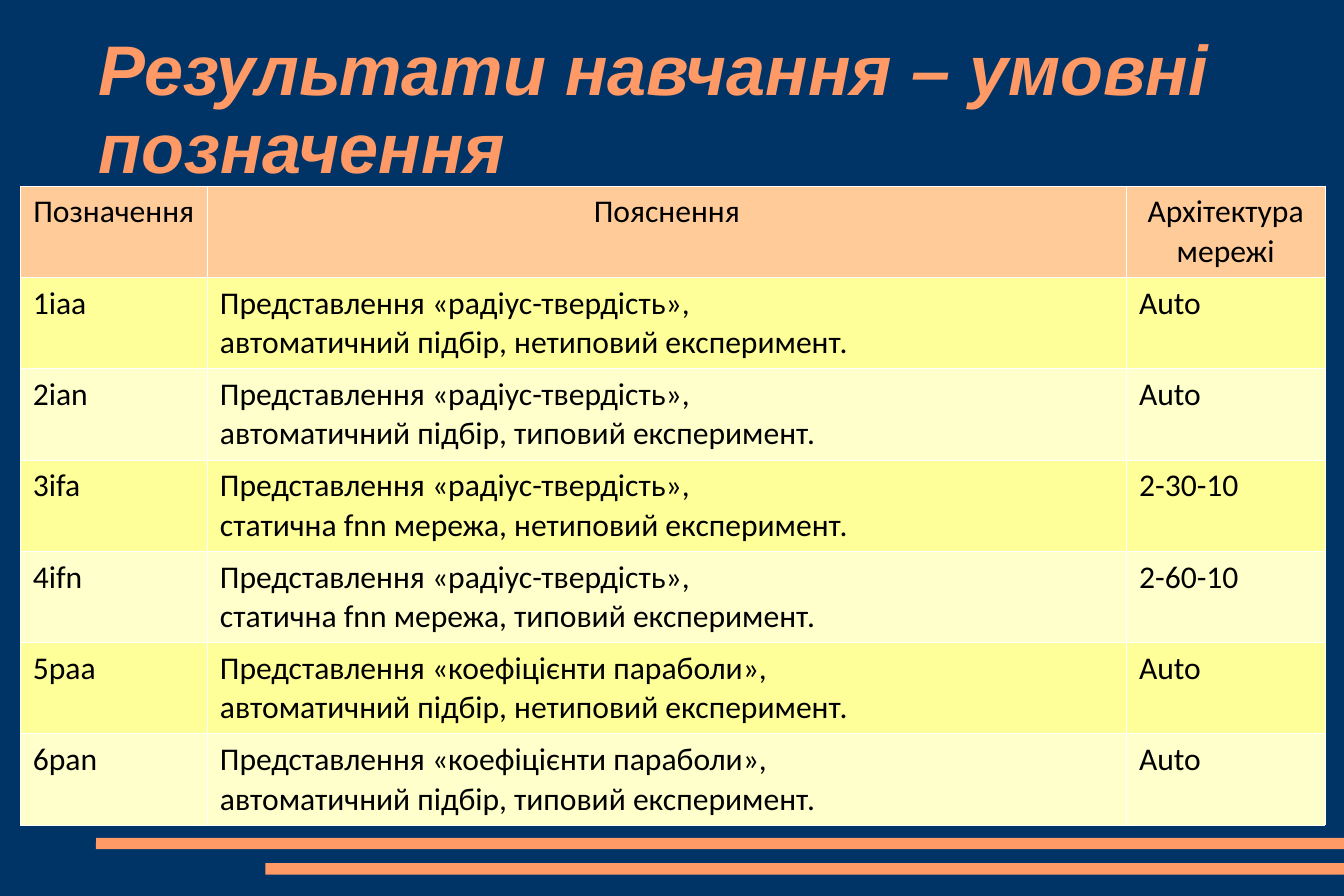
from dataclasses import dataclass

from lxml.etree import SubElement
from pptx import Presentation
from pptx.dml.color import RGBColor
from pptx.enum.shapes import MSO_SHAPE
from pptx.enum.text import MSO_ANCHOR, MSO_AUTO_SIZE, PP_ALIGN
from pptx.oxml.ns import qn
from pptx.slide import Slide
from pptx.table import _Cell
from pptx.text.text import TextFrame
from pptx.util import Inches, Pt


@dataclass(frozen=True)
class Theme:
    back: str = "003366"
    accent: str = "FF9966"
    head: str = "FFCC99"
    bands: tuple[str, str] = ("FFFF99", "FFFFCC")
    ink: str = "000000"
    rule: str = "FFFFFF"
    title: int = 40
    body: int = 18


@dataclass(frozen=True)
class Bar:
    left: float
    top: float


@dataclass(frozen=True)
class Mode:
    code: str
    form: str
    setup: str
    net: str = "Auto"


THEME = Theme()
WIDTH, HEIGHT = 10.63, 7.09
BARS = [Bar(0.76, 6.63), Bar(2.1, 6.83)]
COLS = [1.48, 7.27, 1.57]
ROW = 0.72
HEADS = ["Позначення", "Пояснення", "Архітектура мережі"]
RADIUS, CURVE = "радіус-твердість", "коефіцієнти параболи"
AUTO, FIXED = "автоматичний підбір", "статична fnn мережа"
MODES = [
    Mode("1iaa", RADIUS, f"{AUTO}, нетиповий"),
    Mode("2ian", RADIUS, f"{AUTO}, типовий"),
    Mode("3ifa", RADIUS, f"{FIXED}, нетиповий", "2-30-10"),
    Mode("4ifn", RADIUS, f"{FIXED}, типовий", "2-60-10"),
    Mode("5paa", CURVE, f"{AUTO}, нетиповий"),
    Mode("6pan", CURVE, f"{AUTO}, типовий"),
]


def write(frame: TextFrame, text: str, *, font: str = "Calibri", size: int = THEME.body,
          color: str = THEME.ink, bold: bool = False, italic: bool = False,
          align: PP_ALIGN = PP_ALIGN.LEFT, pitch: float = 1.02) -> None:
    frame.text = text
    for para in frame.paragraphs:
        para.alignment = align
        para.line_spacing = pitch
        para.space_before = para.space_after = Pt(0)
        for run in para.runs:
            run.font.name = font
            run.font.size = Pt(size)
            run.font.bold = bold
            run.font.italic = italic
            run.font.color.rgb = RGBColor.from_string(color)


def add_title(slide: Slide, text: str) -> None:
    title = slide.shapes.title
    title.left, title.top = Inches(0.78), Inches(0.24)
    title.width, title.height = Inches(9.08), Inches(1.24)
    frame = title.text_frame
    frame.word_wrap = True
    frame.auto_size = MSO_AUTO_SIZE.NONE
    frame.vertical_anchor = MSO_ANCHOR.MIDDLE
    frame.margin_left = frame.margin_right = frame.margin_bottom = 0
    frame.margin_top = Inches(0.04)
    write(frame, text, font="Arial", size=THEME.title, color=THEME.accent,
          bold=True, italic=True, pitch=0.93)


def add_bar(slide: Slide, bar: Bar) -> None:
    shape = slide.shapes.add_shape(
        MSO_SHAPE.ROUNDED_RECTANGLE, Inches(bar.left), Inches(bar.top),
        Inches(WIDTH - bar.left), Inches(0.09))
    shape.adjustments[0] = 0.02
    shape.shadow.inherit = False
    shape.fill.solid()
    shape.fill.fore_color.rgb = RGBColor.from_string(THEME.accent)
    shape.line.fill.background()


def style(cell: _Cell, fill: str) -> None:
    props = cell._tc.get_or_add_tcPr()
    for side in ("lnL", "lnR", "lnT", "lnB"):
        line = SubElement(props, qn(f"a:{side}"), w=str(Pt(0.06)))
        paint = SubElement(line, qn("a:solidFill"))
        SubElement(paint, qn("a:srgbClr"), val=THEME.rule)
    cell.fill.solid()
    cell.fill.fore_color.rgb = RGBColor.from_string(fill)
    cell.margin_left = cell.margin_right = Inches(0.1)
    cell.margin_top = cell.margin_bottom = Inches(0.05)


def add_grid(slide: Slide) -> None:
    rows = [HEADS] + [
        [mode.code, f"Представлення «{mode.form}»,\n{mode.setup} експеримент.", mode.net]
        for mode in MODES
    ]
    table = slide.shapes.add_table(
        len(rows), len(COLS), Inches(0.16), Inches(1.47),
        Inches(sum(COLS)), Inches(ROW * len(rows))).table
    table.first_row = table.horz_banding = False
    for col, width in zip(table.columns, COLS):
        col.width = Inches(width)
    for i, texts in enumerate(rows):
        table.rows[i].height = Inches(ROW)
        fill = THEME.bands[(i - 1) % 2] if i else THEME.head
        align = PP_ALIGN.LEFT if i else PP_ALIGN.CENTER
        for j, text in enumerate(texts):
            cell = table.cell(i, j)
            style(cell, fill)
            write(cell.text_frame, text, align=align)


def main() -> None:
    deck = Presentation()
    deck.slide_width, deck.slide_height = Inches(WIDTH), Inches(HEIGHT)
    slide = deck.slides.add_slide(deck.slide_layouts[5])
    slide.background.fill.solid()
    slide.background.fill.fore_color.rgb = RGBColor.from_string(THEME.back)
    for bar in BARS:
        add_bar(slide, bar)
    add_title(slide, "Результати навчання – умовні позначення")
    add_grid(slide)
    deck.save("out.pptx")


if __name__ == "__main__":
    main()
